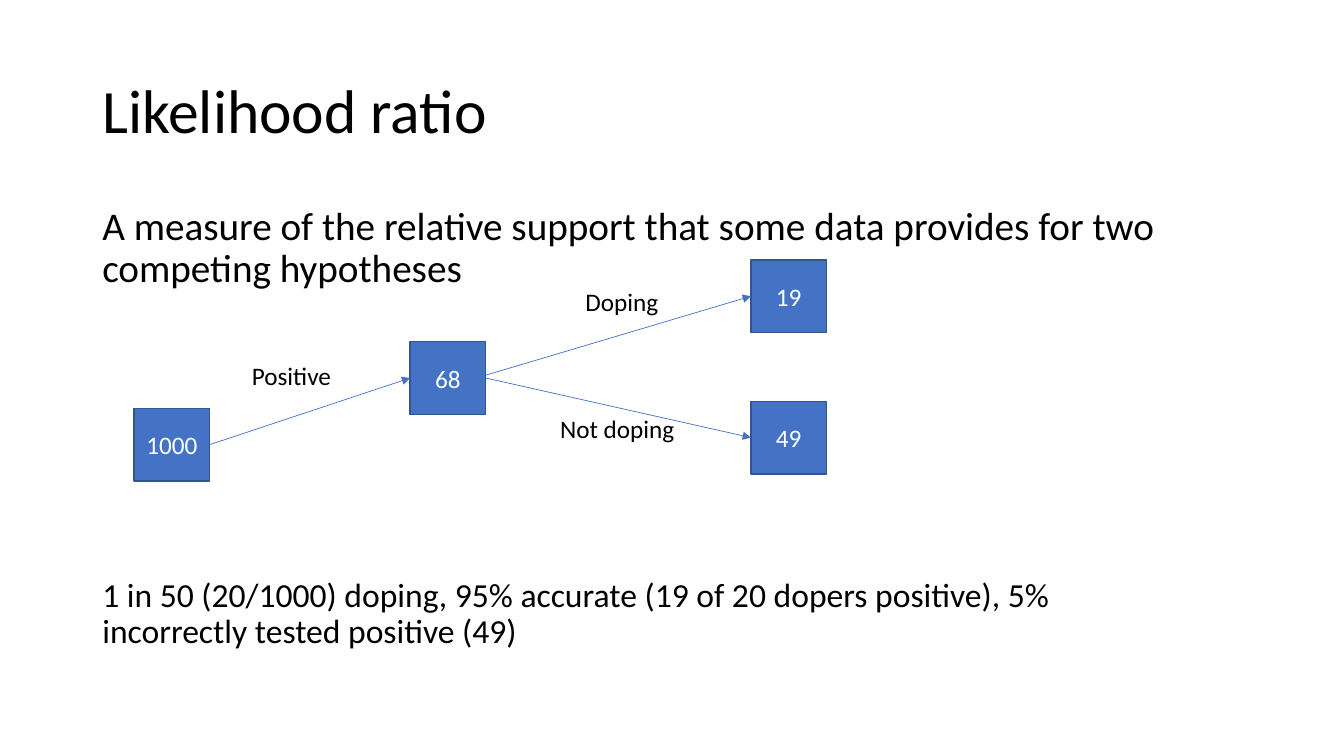
from dataclasses import dataclass

from lxml import etree
from pptx import Presentation
from pptx import util as u
from pptx.dml.color import RGBColor
from pptx.enum import shapes, text
from pptx.oxml import ns


@dataclass(frozen=True)
class Theme:
    font: str = "Calibri"
    ink: str = "000000"
    box_ink: str = "FFFFFF"
    box_fill: str = "4472C4"
    box_border: str = "325491"
    arrow: str = "4472C4"
    title_size: float = 44
    definition_size: float = 28
    summary_size: float = 24
    diagram_size: float = 18
    border_width: float = 1
    arrow_width: float = 0.5


@dataclass(frozen=True)
class Node:
    count: str
    left: float
    top: float
    width: float = 54
    height: float = 52

    @property
    def right(self) -> float:
        return self.left + self.width

    @property
    def middle(self) -> float:
        return self.top + self.height / 2


@dataclass(frozen=True)
class Branch:
    start: Node
    end: Node
    label: str
    label_box: tuple[float, float, float, float]
    start_shift: float = 0


THEME = Theme()

TESTED = Node("1000", 95.8, 291.6)
POSITIVE = Node("68", 293, 244)
DOPING = Node("19", 536.4, 185.6)
NOT_DOPING = Node("49", 536.4, 286.6)
NODES = (TESTED, POSITIVE, NOT_DOPING, DOPING)

BRANCHES = (
    Branch(TESTED, POSITIVE, "Positive", (172.8, 253.6, 95, 29)),
    Branch(POSITIVE, NOT_DOPING, "Not doping", (393, 291.6, 102.2, 29)),
    Branch(POSITIVE, DOPING, "Doping", (411, 200.8, 83.6, 29), start_shift=-2),
)


def write_text(shape, content: str, *, size: float, color: str = THEME.ink,
               align=text.PP_ALIGN.LEFT, anchor=text.MSO_ANCHOR.TOP,
               line_spacing: float = 1.0, space_before: float = 0) -> None:
    frame = shape.text_frame
    frame.word_wrap = True
    frame.vertical_anchor = anchor
    paragraph = frame.paragraphs[0]
    paragraph.alignment = align
    paragraph.line_spacing = line_spacing
    paragraph.space_before = u.Pt(space_before)
    run = paragraph.add_run()
    run.text = content
    run.font.name = THEME.font
    run.font.size = u.Pt(size)
    run.font.color.rgb = RGBColor.from_string(color)


def add_text(slide, box: tuple[float, float, float, float], content: str,
             **text_format) -> None:
    shape = slide.shapes.add_textbox(*map(u.Pt, box))
    write_text(shape, content, **text_format)


def add_node(slide, node: Node) -> None:
    shape = slide.shapes.add_shape(
        shapes.MSO_SHAPE.RECTANGLE,
        *map(u.Pt, (node.left, node.top, node.width, node.height)))
    shape.shadow.inherit = False
    shape.fill.solid()
    shape.fill.fore_color.rgb = RGBColor.from_string(THEME.box_fill)
    shape.line.color.rgb = RGBColor.from_string(THEME.box_border)
    shape.line.width = u.Pt(THEME.border_width)
    write_text(shape, node.count, size=THEME.diagram_size, color=THEME.box_ink,
               align=text.PP_ALIGN.CENTER, anchor=text.MSO_ANCHOR.MIDDLE)


def add_branch(slide, branch: Branch) -> None:
    """Draw the arrow between two nodes and the label beside it."""
    start, end = branch.start, branch.end
    arrow = slide.shapes.add_connector(
        shapes.MSO_CONNECTOR.STRAIGHT,
        *map(u.Pt, (start.right, start.middle + branch.start_shift,
                    end.left, end.middle)))
    arrow.line.color.rgb = RGBColor.from_string(THEME.arrow)
    arrow.line.width = u.Pt(THEME.arrow_width)
    properties = arrow.element.spPr
    line = properties.find(ns.qn("a:ln"))
    etree.SubElement(line, ns.qn("a:tailEnd"), type="triangle")
    etree.SubElement(properties, ns.qn("a:effectLst"))
    add_text(slide, branch.label_box, branch.label, size=THEME.diagram_size)


def main() -> None:
    presentation = Presentation()
    presentation.slide_width = u.Pt(960)
    presentation.slide_height = u.Pt(540)
    slide = presentation.slides.add_slide(presentation.slide_layouts[6])

    add_text(slide, (66, 28.8, 828, 104.4), "Likelihood ratio",
             size=THEME.title_size, anchor=text.MSO_ANCHOR.MIDDLE,
             line_spacing=0.9)
    add_text(slide, (66, 144, 828, 342.6),
             "A measure of the relative support that some data provides for "
             "two competing hypotheses",
             size=THEME.definition_size, line_spacing=0.9, space_before=10)
    add_text(slide, (66, 409.6, 723.6, 77),
             "1 in 50 (20/1000) doping, 95% accurate (19 of 20 dopers "
             "positive), 5% incorrectly tested positive (49)",
             size=THEME.summary_size, line_spacing=0.9, space_before=10)

    for node in NODES:
        add_node(slide, node)
    for branch in BRANCHES:
        add_branch(slide, branch)

    presentation.save("out.pptx")


if __name__ == "__main__":
    main()
